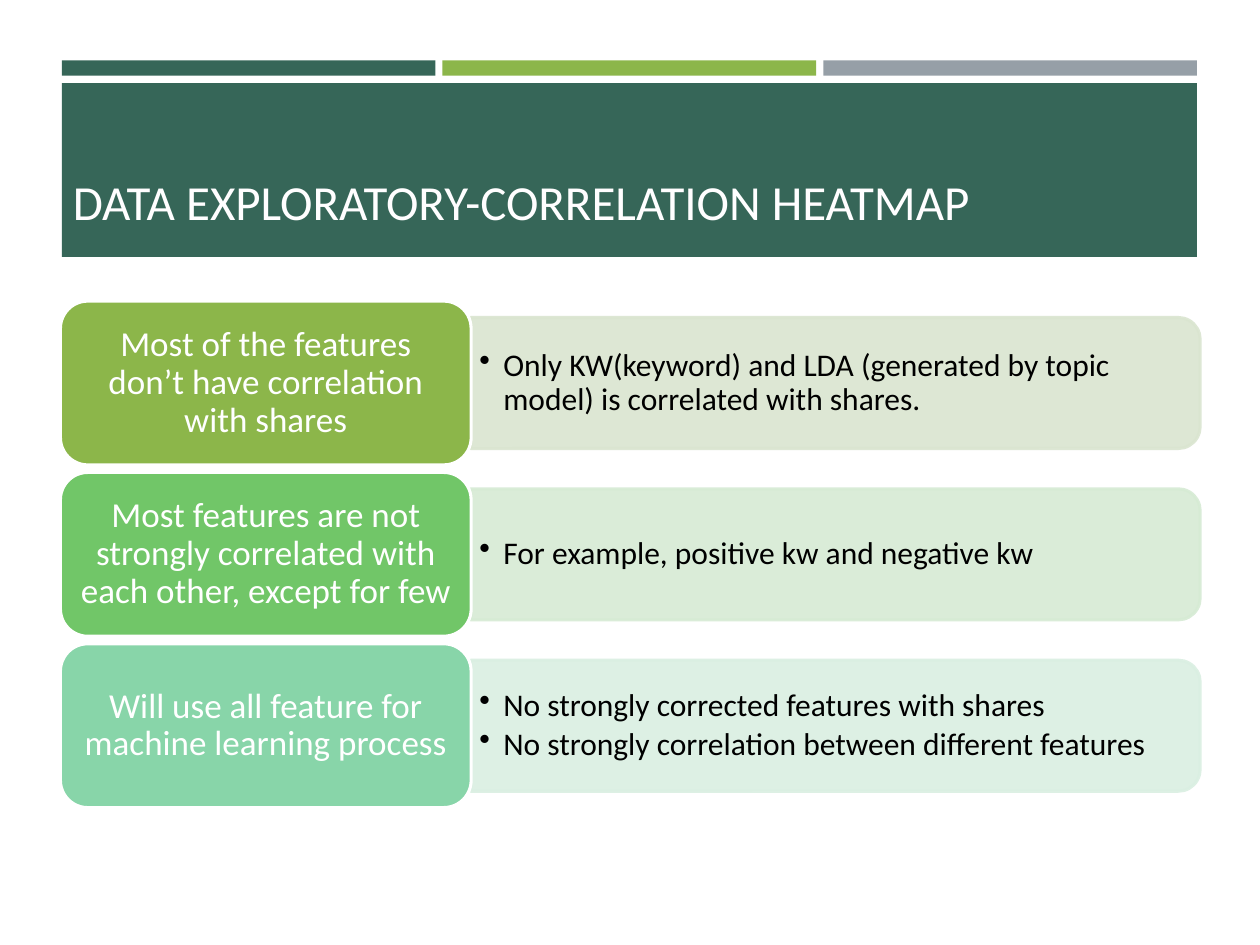
from lxml.etree import SubElement
from pptx import Presentation
from pptx.dml.color import RGBColor
from pptx.enum.shapes import MSO_SHAPE as Preset
from pptx.enum.text import MSO_ANCHOR as Anchor, PP_ALIGN as Align
from pptx.oxml.ns import qn
from pptx.util import Inches, Pt

COLUMNS, ROWS = 100, 75
SLIDE_WIDTH, SLIDE_HEIGHT = Inches(10), Inches(7.5)
GREEN, LIME, GREY, WHITE, BLACK = "366658", "8CB64A", "969FA7", "FFFFFF", "000000"

STRIPES = [GREEN, LIME, GREY]
STRIPE_WIDTH, STRIPE_STEP = 29.65, 30.22
FIRST_CENTRE, CENTRE_STEP = 30.4, 13.6
CARD_LEFT, CARD_WIDTH, CARD_HEIGHT = 4.8, 32.6, 13
PANEL_LEFT, PANEL_WIDTH, PANEL_HEIGHT = 37.35, 57.9, 10.4

FINDINGS = [
    ("Most of the features don’t have correlation with shares", LIME, "DAE5D0",
     ["Only KW(keyword) and LDA (generated by topic model) is correlated with shares."]),
    ("Most features are not strongly correlated with each other, except for few",
     "71C668", "D6EBD4", ["For example, positive kw and negative kw"]),
    ("Will use all feature for machine learning process", "88D5A9", "DAEFE2",
     ["No strongly corrected features with shares",
      "No strongly correlation between different features"]),
]

TIGHT = {"margin_left": Inches(0.07), "margin_right": Inches(0.07),
         "margin_top": Inches(0.04), "margin_bottom": Inches(0.04),
         "vertical_anchor": Anchor.MIDDLE}
CARD_FRAME = {**TIGHT, "margin_left": Inches(0.08), "margin_right": Inches(0.08)}
TITLE_FRAME = {"vertical_anchor": Anchor.BOTTOM}


def color(value):
    return RGBColor.from_string(value)


def cells(left, top, width, height):
    column, row = SLIDE_WIDTH / COLUMNS, SLIDE_HEIGHT / ROWS
    return [round(n * unit) for n, unit in
            zip((left, top, width, height), (column, row, column, row))]


def apply(target, formats):
    for name, value in formats.items():
        setattr(target, name, value)


def add_block(slide, preset, area, fill, line=None):
    block = slide.shapes.add_shape(preset, *cells(*area))
    block.shadow.inherit = False
    block.fill.solid()
    block.fill.fore_color.rgb = color(fill)
    if line:
        block.line.color.rgb = color(line)
        block.line.width = Pt(1.75)
    else:
        block.line.fill.background()
    return block


def write(frame, lines, size, ink, frame_formats, paragraph_formats):
    frame.word_wrap = True
    apply(frame, frame_formats)
    for index, line in enumerate(lines):
        paragraph = frame.add_paragraph() if index else frame.paragraphs[0]
        apply(paragraph, paragraph_formats)
        run = paragraph.add_run()
        run.text = line
        apply(run.font, {"name": "Calibri", "size": Pt(size)})
        run.font.color.rgb = color(ink)


def add_text(slide, area, *content):
    frame = slide.shapes.add_textbox(*cells(*area)).text_frame
    write(frame, *content)
    return frame


def add_bullets(frame):
    for paragraph in frame.paragraphs:
        properties = paragraph._p.get_or_add_pPr()
        properties.set("marL", str(Inches(0.19)))
        properties.set("indent", str(-Inches(0.19)))
        SubElement(properties, qn("a:buChar"), char="•")


def soften(block, opacity):
    for tint in block._element.spPr.iter(qn("a:srgbClr")):
        SubElement(tint, qn("a:alpha"), val=str(opacity * 1000))


def add_panel(slide, centre, tint, points):
    middle = PANEL_LEFT + PANEL_WIDTH / 2
    upright = (middle - PANEL_HEIGHT / 2, centre - PANEL_WIDTH / 2,
               PANEL_HEIGHT, PANEL_WIDTH)
    panel = add_block(slide, Preset.ROUND_2_SAME_RECTANGLE, upright, tint, tint)
    panel.rotation = 90
    soften(panel, 90)
    area = (PANEL_LEFT, centre - 4.7, 57.4, 9.4)
    add_bullets(add_text(slide, area, points, 18, BLACK, TIGHT,
                         {"line_spacing": 0.9, "space_after": Pt(2.7)}))


def add_card(slide, centre, fill, heading):
    area = (CARD_LEFT, centre - CARD_HEIGHT / 2, CARD_WIDTH, CARD_HEIGHT)
    card = add_block(slide, Preset.ROUNDED_RECTANGLE, area, fill, WHITE)
    write(card.text_frame, [heading], 20, WHITE, CARD_FRAME,
          {"alignment": Align.CENTER, "line_spacing": 0.9})


def add_header(slide):
    for index, fill in enumerate(STRIPES):
        area = (4.9 + index * STRIPE_STEP, 4.8, STRIPE_WIDTH, 1.2)
        add_block(slide, Preset.RECTANGLE, area, fill)
    add_block(slide, Preset.RECTANGLE, (4.9, 6.6, 90.1, 13.8), GREEN)
    add_text(slide, (4.8, 7.7, 90.5, 11.1), ["DATA EXPLORATORY-CORRELATION HEATMAP"],
             28, "FFFEFF", TITLE_FRAME, {"line_spacing": 0.9})


def main():
    deck = Presentation()
    apply(deck, {"slide_width": SLIDE_WIDTH, "slide_height": SLIDE_HEIGHT})
    slide = deck.slides.add_slide(deck.slide_layouts[6])
    add_header(slide)
    for index, (heading, fill, tint, points) in enumerate(FINDINGS):
        centre = FIRST_CENTRE + index * CENTRE_STEP
        add_panel(slide, centre, tint, points)
        add_card(slide, centre, fill, heading)
    deck.save("out.pptx")


if __name__ == "__main__":
    main()
